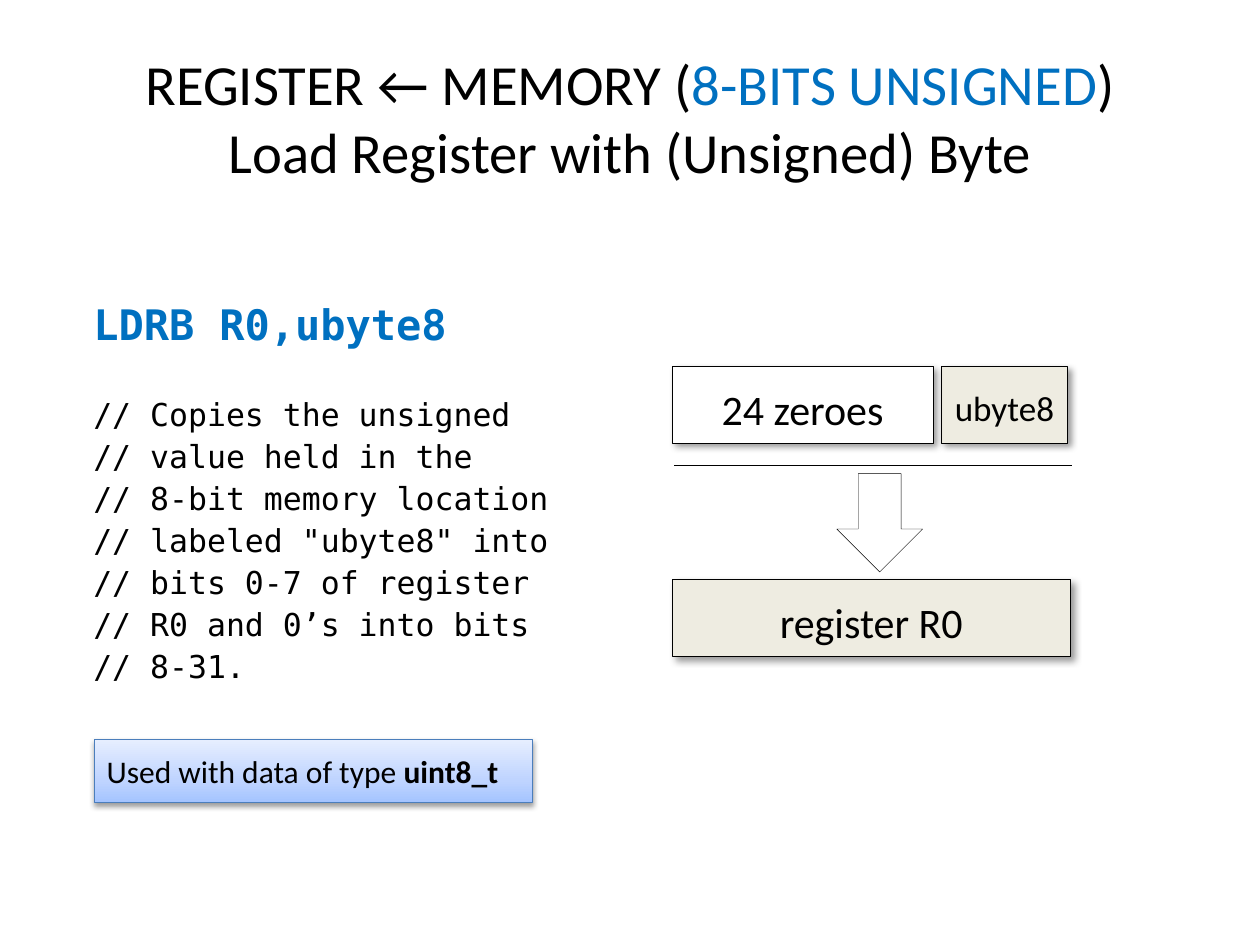
from copy import deepcopy
from dataclasses import dataclass

from lxml.etree import SubElement
from pptx import Presentation
from pptx.dml.color import RGBColor
from pptx.enum.shapes import MSO_CONNECTOR, MSO_SHAPE
from pptx.enum.text import MSO_ANCHOR, MSO_AUTO_SIZE, PP_ALIGN
from pptx.oxml.ns import qn
from pptx.util import Cm, Pt


@dataclass(frozen=True)
class Theme:
    sans: str = "Calibri"
    mono: str = "DejaVu Sans Mono"
    black: str = "000000"
    white: str = "FFFFFF"
    accent: str = "0070C0"
    beige: str = "EEECE1"
    note_line: str = "4B7EBC"
    note_stops: tuple = ((0, "A4C4FF"), (0.35, "BFD4FF"), (1, "E6EEFF"))
    title: float = 32.4
    large: float = 24
    medium: float = 20
    small: float = 18
    spacing: float = 1.15
    plain_table: str = "{2D5ABB26-0587-4C30-8999-92F81FD0307C}"


class SlideBuilder:
    def __init__(self, slide, theme):
        self.slide = slide
        self.theme = theme
        self.diagram = None

    def start_diagram(self):
        self.diagram = self.slide.shapes.add_group_shape().shapes

    def style(self, font, size, color=None, name=None, bold=False):
        font.size = Pt(size)
        font.name = name or self.theme.sans
        font.bold = bold
        font.color.rgb = RGBColor.from_string(color or self.theme.black)

    def outline(self, sp, color, width):
        sp.line.color.rgb = RGBColor.from_string(color)
        sp.line.width = Pt(width)

    def shadow(self, sp, alpha, blur, dist, angle):
        sp.shadow.inherit = False
        effects = sp._element.spPr.find(qn("a:effectLst"))
        outer = SubElement(effects, qn("a:outerShdw"), blurRad=str(Pt(blur)),
                           dist=str(Pt(dist)), dir=str(angle * 60000),
                           algn="tl", rotWithShape="0")
        color = SubElement(outer, qn("a:srgbClr"), val=self.theme.black)
        SubElement(color, qn("a:alpha"), val=str(alpha * 1000))

    def title(self, parts, box):
        sp = self.slide.shapes.title
        sp.left, sp.top, sp.width, sp.height = map(Cm, box)
        tf = sp.text_frame
        tf.auto_size = MSO_AUTO_SIZE.NONE
        tf.vertical_anchor = MSO_ANCHOR.MIDDLE
        p = tf.paragraphs[0]
        p.alignment = PP_ALIGN.CENTER
        for text, color in parts:
            if text is None:
                p.add_line_break()
                continue
            r = p.add_run()
            r.text = text
            self.style(r.font, self.theme.title, color)

    def code_table(self, instruction, comments, box, widths):
        t = self.theme
        table = self.slide.shapes.add_table(1, len(widths), *map(Cm, box)).table
        table.first_row = table.horz_banding = False
        # Borderless table style
        table._tbl.tblPr.find(qn("a:tableStyleId")).text = t.plain_table
        for column, width in zip(table.columns, widths):
            column.width = Cm(width)
        for cell in table.iter_cells():
            cell.fill.background()
        cell = table.cell(0, 0)
        cell.margin_left = cell.margin_right = Cm(0.18)
        cell.margin_top = cell.margin_bottom = 0
        tf = cell.text_frame
        tf.text = "\n".join([instruction, *comments])
        for i, p in enumerate(tf.paragraphs):
            p.line_spacing = t.spacing
            if i == 0:
                self.style(p.font, t.large, t.accent, t.mono, True)
            else:
                self.style(p.font, t.small, name=t.mono)
        # Gap between the instruction and its comments
        tf.paragraphs[1].space_before = Pt(24)

    def block(self, shape, box, fill):
        sp = self.diagram.add_shape(shape, *map(Cm, box))
        sp.fill.solid()
        sp.fill.fore_color.rgb = RGBColor.from_string(fill)
        self.outline(sp, self.theme.black, 0.25)
        sp.shadow.inherit = False
        return sp

    def data_box(self, text, box, fill, size, side_margin=0.25):
        sp = self.block(MSO_SHAPE.RECTANGLE, box, fill)
        self.shadow(sp, alpha=40, blur=4, dist=3, angle=45)
        tf = sp.text_frame
        tf.word_wrap = True
        tf.margin_left = tf.margin_right = Cm(side_margin)
        tf.vertical_anchor = MSO_ANCHOR.MIDDLE
        p = tf.paragraphs[0]
        p.text = text
        p.alignment = PP_ALIGN.CENTER
        p.line_spacing = self.theme.spacing
        self.style(p.font, size)

    def rule(self, x1, x2, y):
        line = self.diagram.add_connector(MSO_CONNECTOR.STRAIGHT,
                                          Cm(x1), Cm(y), Cm(x2), Cm(y))
        self.outline(line, self.theme.black, 0.75)
        SubElement(line._element.spPr, qn("a:effectLst"))

    def note(self, text, strong, box):
        sp = self.slide.shapes.add_shape(MSO_SHAPE.RECTANGLE, *map(Cm, box))
        sp.fill.gradient()
        sp.fill.gradient_angle = 90
        stop_list = sp._element.spPr.find(".//" + qn("a:gsLst"))
        stop_list.insert(1, deepcopy(stop_list[0]))
        for stop, (position, color) in zip(sp.fill.gradient_stops,
                                           self.theme.note_stops):
            stop.position = position
            stop.color.rgb = RGBColor.from_string(color)
        self.outline(sp, self.theme.note_line, 0.75)
        self.shadow(sp, alpha=38, blur=3.1, dist=1.6, angle=90)
        tf = sp.text_frame
        tf.word_wrap = True
        tf.auto_size = MSO_AUTO_SIZE.SHAPE_TO_FIT_TEXT
        tf.vertical_anchor = MSO_ANCHOR.TOP
        tf.margin_left = tf.margin_right = Cm(0.25)
        tf.margin_top = tf.margin_bottom = Cm(0.25)
        p = tf.paragraphs[0]
        p.alignment = PP_ALIGN.LEFT
        for part, bold in ((text, False), (strong, True)):
            r = p.add_run()
            r.text = part
            self.style(r.font, self.theme.small, bold=bold)


def main():
    prs = Presentation()
    prs.slide_width, prs.slide_height = Cm(25.4), Cm(19.05)
    theme = Theme()
    s = SlideBuilder(prs.slides.add_slide(prs.slide_layouts[5]), theme)

    # Title
    s.title([("REGISTER ← MEMORY (", theme.black),
             ("8-BITS UNSIGNED", theme.accent), (")", theme.black),
             (None, None),
             ("Load Register with (Unsigned) Byte", theme.black)],
            (0, 0.76, 25.4, 3.18))

    # Instruction and its explanation
    s.code_table("LDRB\tR0,ubyte8",
                 ["// Copies the unsigned",
                  "// value held in the",
                  "// 8-bit memory location",
                  '// labeled "ubyte8" into',
                  "// bits 0-7 of register",
                  "// R0 and 0’s into bits",
                  "// 8-31."],
                 (1.7, 5.92, 15.46, 9.04), (10.59, 4.87))

    # Zero-extended byte moving into the register, in front of the table
    s.start_diagram()
    left, height, memory_y, register_y = 13.55, 1.55, 7.38, 11.68
    s.data_box("ubyte8", (18.98, memory_y, 2.54, height), theme.beige,
               theme.medium, side_margin=0)
    s.data_box("register R0", (left, register_y, 8.03, height), theme.beige,
               theme.large)
    s.data_box("24 zeroes", (left, memory_y, 5.26, height), theme.white,
               theme.large)
    s.block(MSO_SHAPE.DOWN_ARROW, (16.87, 9.55, 1.73, 1.98), theme.white)
    s.rule(13.59, 21.61, 9.39)

    # Data type note
    s.note("Used with data of type ", "uint8_t", (1.9, 14.91, 8.84, 1.27))

    prs.save("out.pptx")


if __name__ == "__main__":
    main()
